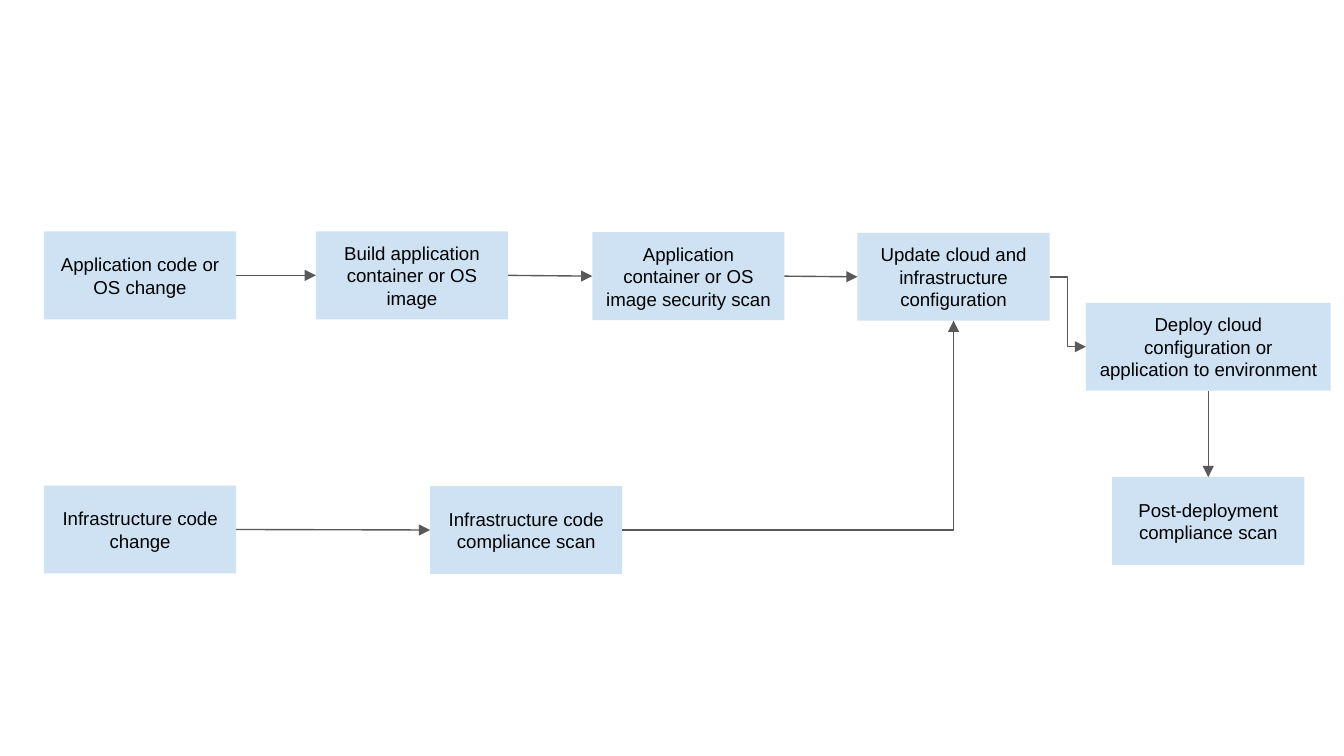
"""Build a slide showing a compliance-checked deployment pipeline."""
from lxml import etree
from pptx import Presentation, util as u
from pptx.dml.color import RGBColor
from pptx.enum import shapes, text
from pptx.oxml.ns import qn

PALE_BLUE = RGBColor(0xCF, 0xE2, 0xF3)
GREY = RGBColor(0x59, 0x59, 0x59)
BLACK = RGBColor(0, 0, 0)
TOP, LEFT, BOTTOM, RIGHT = range(4)


class FlowSlide:
    font = "Arial"
    text_size = u.Pt(10)
    line_width = u.Pt(0.75)
    cell = u.Inches(0.1)
    box_columns, box_rows = 14.3, 6.54

    def __init__(self, slide):
        self.slide = slide

    def grid(self, *lengths):
        return [round(length * self.cell) for length in lengths]

    def box(self, wording, column, row, columns=box_columns):
        shape = self.slide.shapes.add_shape(
            shapes.MSO_SHAPE.RECTANGLE, *self.grid(column, row, columns, self.box_rows))
        shape.shadow.inherit = False
        shape.fill.solid()
        shape.fill.fore_color.rgb = PALE_BLUE
        shape.line.fill.background()
        frame = shape.text_frame
        frame.word_wrap = True
        frame.vertical_anchor = text.MSO_ANCHOR.MIDDLE
        frame.margin_left = frame.margin_right = self.cell
        frame.margin_top = frame.margin_bottom = self.cell
        paragraph = frame.paragraphs[0]
        paragraph.alignment = text.PP_ALIGN.CENTER
        run = paragraph.add_run()
        run.text = wording
        run.font.name, run.font.size = self.font, self.text_size
        run.font.color.rgb = BLACK
        return shape

    def arrow(self, start, end, start_side=RIGHT, end_side=LEFT, preset="line"):
        kind = shapes.MSO_CONNECTOR.STRAIGHT if preset == "line" else shapes.MSO_CONNECTOR.ELBOW
        connector = self.slide.shapes.add_connector(kind, 0, 0, 0, 0)
        connector.begin_connect(start, start_side)
        connector.end_connect(end, end_side)
        connector.line.color.rgb = GREY
        connector.line.width = self.line_width
        properties = connector._element.spPr
        properties.find(qn("a:prstGeom")).set("prst", preset)
        etree.SubElement(properties.find(qn("a:ln")), qn("a:tailEnd"), type="triangle")
        etree.SubElement(properties, qn("a:effectLst"))


presentation = Presentation()
presentation.slide_width = u.Inches(10)
presentation.slide_height = presentation.slide_width * 9 // 16
flow = FlowSlide(presentation.slides.add_slide(presentation.slide_layouts[6]))

code_change = flow.box("Application code or OS change", 3.27, 17.22)
build = flow.box("Build application container or OS image", 23.5, 17.22)
security_scan = flow.box("Application container or OS image security scan", 44.07, 17.28)
update = flow.box("Update cloud and infrastructure configuration", 63.8, 17.33)
deploy = flow.box("Deploy cloud configuration or application to environment", 80.8, 22.53, 18.2)
infrastructure_change = flow.box("Infrastructure code change", 3.27, 36.13)
infrastructure_scan = flow.box("Infrastructure code compliance scan", 32, 36.17)
post_scan = flow.box("Post-deployment compliance scan", 82.75, 35.5)

for start, end in [(code_change, build), (build, security_scan), (security_scan, update),
                   (infrastructure_change, infrastructure_scan)]:
    flow.arrow(start, end)
flow.arrow(update, deploy, preset="bentConnector3")
flow.arrow(infrastructure_scan, update, end_side=BOTTOM, preset="bentConnector2")
flow.arrow(deploy, post_scan, BOTTOM, TOP)

presentation.save("out.pptx")
